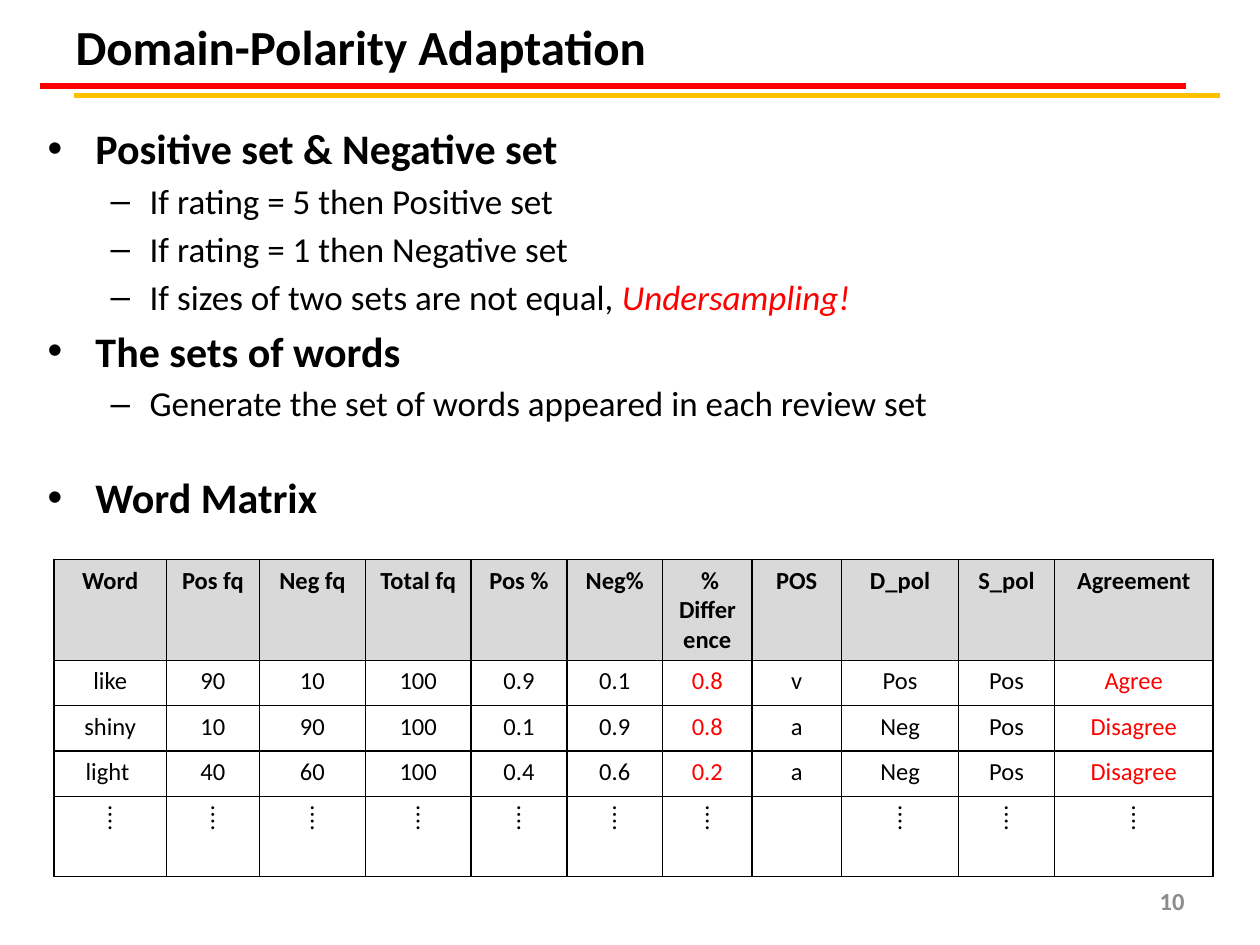
from lxml.etree import SubElement
from pptx import Presentation
from pptx.dml.color import RGBColor
from pptx.enum.shapes import MSO_CONNECTOR as Conn
from pptx.enum.text import MSO_ANCHOR as Anchor, PP_ALIGN as Align
from pptx.oxml.ns import qn
from pptx.util import Inches, Pt

BLACK, RED, AMBER, GREY, SILVER = "000000", "FF0000", "FFC000", "8C8C8C", "D9D9D9"
LEVELS = [
    dict(size=24, bold=True, bullet="•", left=0.38, hang=0.38),
    dict(size=20, bold=False, bullet="–", left=0.81, hang=0.31),
]
BULLETS = [
    (0, "Positive set & Negative set"),
    (1, "If rating = 5 then Positive set"),
    (1, "If rating = 1 then Negative set"),
    (1, "If sizes of two sets are not equal, ", "Undersampling!"),
    (0, "The sets of words"),
    (1, "Generate the set of words appeared in each review set"),
    (0, "Word Matrix"),
]
MATRIX_GAP = 23
HEADER = ["Word", "Pos fq", "Neg fq", "Total fq", "Pos %", "Neg%",
          " % Difference", "POS", "D_pol", "S_pol", "Agreement"]
WORDS = [
    ["like", "90", "10", "100", "0.9", "0.1", "0.8", "v", "Pos", "Pos", "Agree"],
    ["shiny", "10", "90", "100", "0.1", "0.9", "0.8", "a", "Neg", "Pos", "Disagree"],
    ["light ", "40", "60", "100", "0.4", "0.6", "0.2", "a", "Neg", "Pos", "Disagree"],
    ["" if name == "POS" else "⁞" for name in HEADER],
]
RED_COLUMNS = {" % Difference", "Agreement"}
COLUMNS = [8.9, 7.4, 8.4, 8.4, 7.6, 7.6, 7.1, 7.1, 9.3, 7.6, 12.6]
ROWS = [9.7, 4.8, 4.8, 4.8, 8.5]


def rgb(value):
    return RGBColor.from_string(value)


def add_text(p, text, size=14, color=BLACK, bold=False, italic=False,
             align=Align.LEFT, font="Calibri"):
    p.alignment = align
    r = p.add_run()
    r.text = text
    f = r.font
    f.name, f.size, f.bold, f.italic = font, Pt(size), bold, italic
    f.color.rgb = rgb(color)


class Deck:
    """Draws styled elements, with lengths in percent of the slide's size."""

    def __init__(self, width, height):
        self.prs = Presentation()
        self.prs.slide_width, self.prs.slide_height = Inches(width), Inches(height)
        self.s = self.prs.slides.add_slide(self.prs.slide_layouts[5])

    def x(self, share):
        return round(self.prs.slide_width * share / 100)

    def y(self, share):
        return round(self.prs.slide_height * share / 100)

    def box(self, left, top, width, height):
        return self.x(left), self.y(top), self.x(width), self.y(height)

    def title(self, text, *place):
        sp = self.s.shapes.title
        sp.left, sp.top, sp.width, sp.height = self.box(*place)
        sp.text_frame.vertical_anchor = Anchor.MIDDLE
        add_text(sp.text_frame.paragraphs[0], text, size=28, bold=True)

    def frame(self, *place, anchor=Anchor.TOP):
        tf = self.s.shapes.add_textbox(*self.box(*place)).text_frame
        tf.word_wrap, tf.vertical_anchor = True, anchor
        return tf

    def bullets(self, items, *place):
        tf = self.frame(*place)
        for i, (level, text, *accent) in enumerate(items):
            style = LEVELS[level]
            size, bold = style["size"], style["bold"]
            p = tf.add_paragraph() if i else tf.paragraphs[0]
            p.level = level
            gap = MATRIX_GAP if text == "Word Matrix" else 0
            p.space_before = Pt(round(size * 0.18 + gap, 1))
            pPr = p._p.get_or_add_pPr()
            pPr.set("marL", str(Inches(style["left"])))
            pPr.set("indent", str(-Inches(style["hang"])))
            SubElement(pPr, qn("a:buFont"), typeface="Arial")
            SubElement(pPr, qn("a:buChar"), char=style["bullet"])
            add_text(p, text, size=size, bold=bold)
            for words in accent:
                add_text(p, words, size=size, color=RED, italic=True)

    def rule(self, left, y, width, color):
        line = self.s.shapes.add_connector(
            Conn.STRAIGHT, self.x(left), self.y(y), self.x(left + width), self.y(y))
        line.line.color.rgb, line.line.width = rgb(color), Pt(3)
        SubElement(line._element.spPr, qn("a:effectLst"))

    def cell(self, cell, text, fill=None, **style):
        tcPr = cell._tc.get_or_add_tcPr()
        for side in ("lnL", "lnR", "lnT", "lnB"):
            ln = SubElement(tcPr, qn(f"a:{side}"), w=str(Pt(1)))
            SubElement(SubElement(ln, qn("a:solidFill")), qn("a:srgbClr"), val=BLACK)
        if fill:
            cell.fill.solid()
            cell.fill.fore_color.rgb = rgb(fill)
        else:
            cell.fill.background()
        if text:
            add_text(cell.text_frame.paragraphs[0], text, align=Align.CENTER, **style)

    def table(self, header, rows, left, top):
        place = self.box(left, top, sum(COLUMNS), sum(ROWS))
        table = self.s.shapes.add_table(len(ROWS), len(COLUMNS), *place).table
        for column, width in zip(table.columns, COLUMNS):
            column.width = self.x(width)
        for row, height in zip(table.rows, ROWS):
            row.height = self.y(height)
        for c, name in enumerate(header):
            self.cell(table.cell(0, c), name, fill=SILVER, bold=True)
            for r, row in enumerate(rows, 1):
                red = name in RED_COLUMNS and row[c] != "⁞"
                self.cell(table.cell(r, c), row[c], color=RED if red else BLACK)

    def page_number(self, number, *place):
        tf = self.frame(*place, anchor=Anchor.MIDDLE)
        add_text(tf.paragraphs[0], str(number), color=GREY, bold=True, align=Align.RIGHT)


def main():
    deck = Deck(10, 7.5)
    deck.title("Domain-Polarity Adaptation", 5, -3.5, 90, 16.7)
    deck.bullets(BULLETS, 2.8, 12.3, 93.6, 86.1)
    deck.rule(3.2, 9.1, 90.9, RED)
    deck.rule(5.9, 10.1, 90.9, AMBER)
    deck.page_number(10, 71.7, 92.7, 23.3, 5.3)
    deck.table(HEADER, WORDS, 4.3, 59.2)
    deck.prs.save("out.pptx")


if __name__ == "__main__":
    main()
